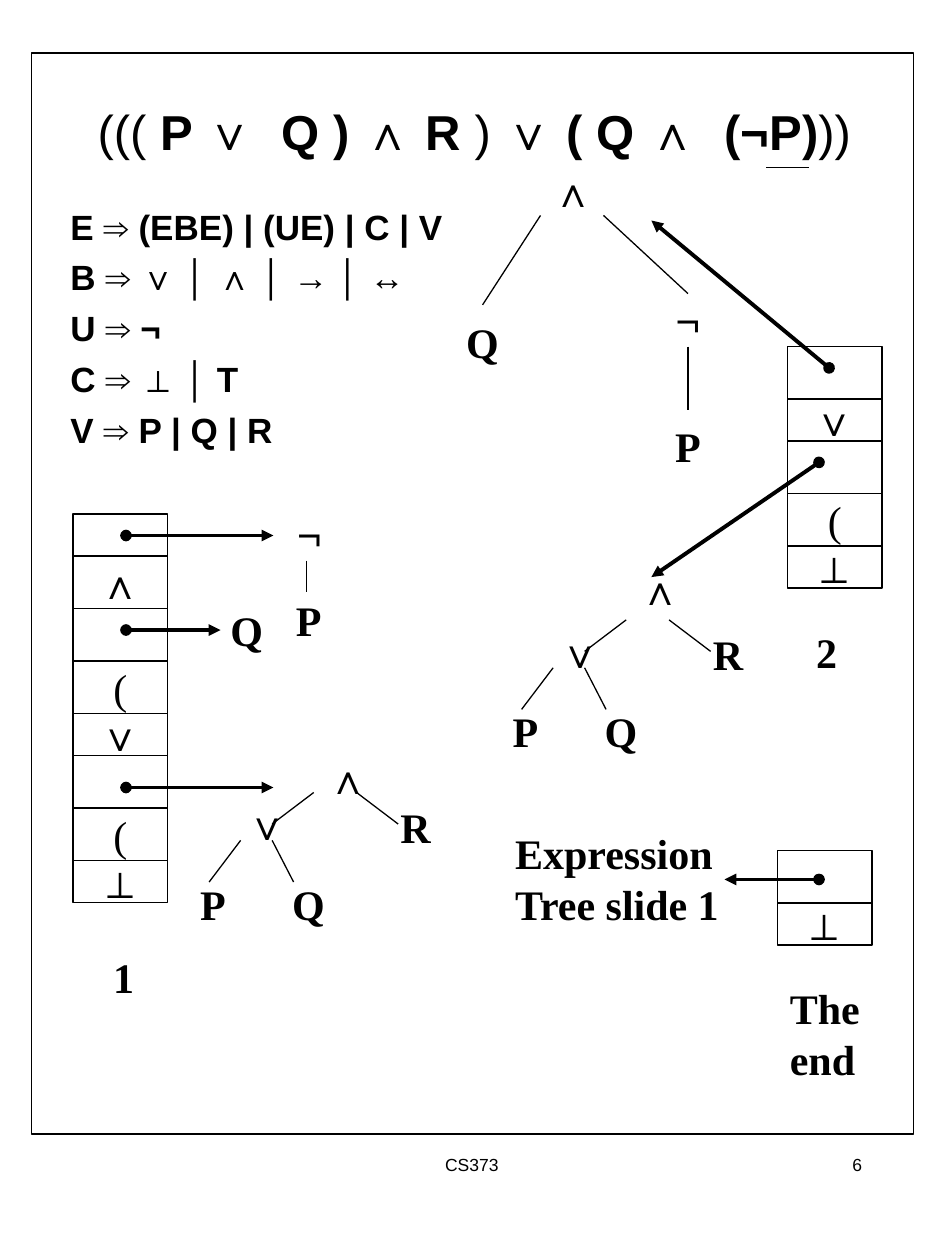
"""Build a slide showing stack-based parsing of a logic expression into a tree."""
import pptx
import pptx.dml.color
import pptx.enum.shapes
import pptx.enum.text
import pptx.oxml.ns
import pptx.util
from lxml import etree

Inches = pptx.util.Inches
Pt = pptx.util.Pt
ALIGN = pptx.enum.text.PP_ALIGN
ANCHOR = pptx.enum.text.MSO_ANCHOR
BLACK = pptx.dml.color.RGBColor(0, 0, 0)
SANS, SERIF = "Arial", "Times New Roman"
SHORT, TALL = 1 / 3, 5 / 12
CELL_WIDTH = 0.75

TITLE_BOX = (0.58, 0.58, 6.37, 0.92)
TITLE = [[("((( ", False), ("P ∨  Q ) ∧ R ", True), (") ", False),
          ("∨ ( Q ∧  (¬P)", True), ("))", False)]]

GRAMMAR_BOX = (0.46, 1.58, 3.29, 2.33)
GRAMMAR = ["E ⇒ (EBE) | (UE) | C | V", "B ⇒ ∨ │ ∧ │ → │ ↔", "U ⇒ ¬",
           "C ⇒ ⊥ │ Τ", "V ⇒ P | Q | R"]

STACKS = [
    (0.58, 4.08, [("", SHORT), ("∧", TALL), ("", TALL), ("(", TALL),
                  ("∨", SHORT), ("", TALL), ("(", TALL), ("⊥", SHORT)]),
    (6.25, 2.75, [("", TALL), ("∨", SHORT), ("", TALL), ("(", TALL), ("⊥", SHORT)]),
    (6.17, 6.75, [("", TALL), ("⊥", SHORT)]),
]

POINTERS = [(1, 4.25, 2.17, 4.25), (1, 5, 1.75, 5), (1, 6.25, 2.17, 6.25),
            (6.58, 2.92, 5.17, 1.75), (6.5, 3.67, 5.17, 4.58), (6.5, 6.98, 5.75, 6.98)]

TREE_NODES = [("∨", 0, 0, 0.31), ("P", -0.37, 0.63, 0.4),
              ("Q", 0.36, 0.63, 0.46), ("R", 1.22, 0.02, 0.44)]
TREE_ROOT_OFFSET = 0.64
TREE_EDGES = [(0.05, 0.38, -0.2, 0.71), (0.3, 0.38, 0.47, 0.71),
              (0.63, 0, 0.3, 0.25), (0.97, 0, 1.3, 0.25)]
TREES = [(1.86, 6.29, 5.92), (4.34, 4.92, 4.42)]

LABELS = [
    (["Q"], (1.73, 4.75, 0.46, 0.5)),
    (["¬"], (2.26, 3.99, 0.41, 0.5)),
    (["P"], (2.25, 4.67, 0.4, 0.5)),
    (["1"], (0.8, 7.5, 0.36, 0.5)),
    (["2"], (6.38, 4.92, 0.36, 0.5)),
    (["The", "end"], (6.17, 7.75, 0.82, 0.9)),
    (["Expression", "Tree slide 1"], (3.99, 6.52, 1.88, 0.9)),
]
CENTERED_NODES = [("∧", (4.29, 1.3, 0.5, 0.42)), ("Q", (3.54, 2.42, 0.58, 0.58)),
                  ("¬", (5.21, 2.33, 0.5, 0.42)), ("P", (5.17, 3.25, 0.58, 0.58))]
EDGES = [(6.08, 1.33, 6.42, 1.33), (2.43, 4.45, 2.43, 4.7), (4.29, 1.71, 3.83, 2.42),
         (4.79, 1.71, 5.46, 2.33), (5.46, 2.75, 5.46, 3.25)]
FOOTERS = [("CS373", (2.56, 9.11, 2.37, 0.67), ALIGN.CENTER),
           ("6", (5.38, 9.11, 1.56, 0.67), ALIGN.RIGHT)]


def write_text(shape, paragraphs, font=SANS, size=24, bold=False, align=ALIGN.LEFT,
               anchor=ANCHOR.TOP, wrap=False, grow=False, before=0, hanging=0):
    frame = shape.text_frame
    frame.word_wrap = wrap
    frame.vertical_anchor = anchor
    if grow:
        frame.auto_size = pptx.enum.text.MSO_AUTO_SIZE.SHAPE_TO_FIT_TEXT
    for index, content in enumerate(paragraphs):
        paragraph = frame.paragraphs[0] if index == 0 else frame.add_paragraph()
        paragraph.alignment = align
        paragraph.space_before = Pt(before)
        if hanging:
            properties = paragraph._p.get_or_add_pPr()
            properties.set("marL", str(Inches(hanging)))
            properties.set("indent", str(-Inches(hanging)))
        runs = [(content, bold)] if isinstance(content, str) else content
        for text, is_bold in runs:
            run = paragraph.add_run()
            run.text = text
            run.font.name = font
            run.font.size = Pt(size)
            run.font.bold = is_bold
            run.font.color.rgb = BLACK


def add_text(slide, paragraphs, box, **text_format):
    write_text(slide.shapes.add_textbox(*map(Inches, box)), paragraphs, **text_format)


def add_node(slide, lines, box, **text_format):
    is_word = lines[0][0].isalnum()
    add_text(slide, lines, box, font=SERIF if is_word else SANS, bold=is_word, **text_format)


def add_box(slide, box):
    shape = slide.shapes.add_shape(
        pptx.enum.shapes.MSO_SHAPE.RECTANGLE, *map(Inches, box))
    shape.shadow.inherit = False
    shape.fill.background()
    shape.line.color.rgb = BLACK
    shape.line.width = Pt(0.75)
    return shape


def add_line(slide, ends, pointer=False):
    connector = slide.shapes.add_connector(
        pptx.enum.shapes.MSO_CONNECTOR.STRAIGHT, *map(Inches, ends))
    connector.line.color.rgb = BLACK
    connector.line.width = Pt(2.25 if pointer else 0.75)
    qualify = pptx.oxml.ns.qn
    if pointer:
        line = connector.line._get_or_add_ln()
        etree.SubElement(line, qualify("a:headEnd"), type="oval")
        etree.SubElement(line, qualify("a:tailEnd"), type="triangle")
    etree.SubElement(connector._element.spPr, qualify("a:effectLst"))


def add_stack(slide, left, top, cells):
    for symbol, height in cells:
        shape = add_box(slide, (left, top, CELL_WIDTH, height))
        if symbol:
            write_text(shape, [symbol], font=SERIF if symbol == "(" else SANS,
                       align=ALIGN.CENTER, anchor=ANCHOR.MIDDLE)
        top += height


def add_tree(slide, left, top, root_top):
    add_node(slide, ["∧"], (left + TREE_ROOT_OFFSET, root_top, 0.31, 0.5), grow=True)
    for symbol, across, down, width in TREE_NODES:
        add_node(slide, [symbol], (left + across, top + down, width, 0.5), grow=True)
    for x1, y1, x2, y2 in TREE_EDGES:
        add_line(slide, (left + x1, top + y1, left + x2, top + y2))


def main():
    presentation = pptx.Presentation()
    presentation.slide_width, presentation.slide_height = Inches(7.5), Inches(10)
    slide = presentation.slides.add_slide(presentation.slide_layouts[6])
    add_box(slide, (0.25, 0.42, 7, 8.58))
    add_text(slide, TITLE, TITLE_BOX, size=28, align=ALIGN.CENTER,
             anchor=ANCHOR.MIDDLE, wrap=True)
    add_text(slide, GRAMMAR, GRAMMAR_BOX, size=20, bold=True, wrap=True,
             before=5, hanging=0.38)
    for stack in STACKS:
        add_stack(slide, *stack)
    for tree in TREES:
        add_tree(slide, *tree)
    for lines, box in LABELS:
        add_node(slide, lines, box, grow=True)
    for symbol, box in CENTERED_NODES:
        add_node(slide, [symbol], box, align=ALIGN.CENTER, anchor=ANCHOR.MIDDLE)
    for ends in EDGES:
        add_line(slide, ends)
    for ends in POINTERS:
        add_line(slide, ends, pointer=True)
    for text, box, align in FOOTERS:
        add_text(slide, [text], box, size=10, align=align, wrap=True)
    presentation.save("out.pptx")


if __name__ == "__main__":
    main()
